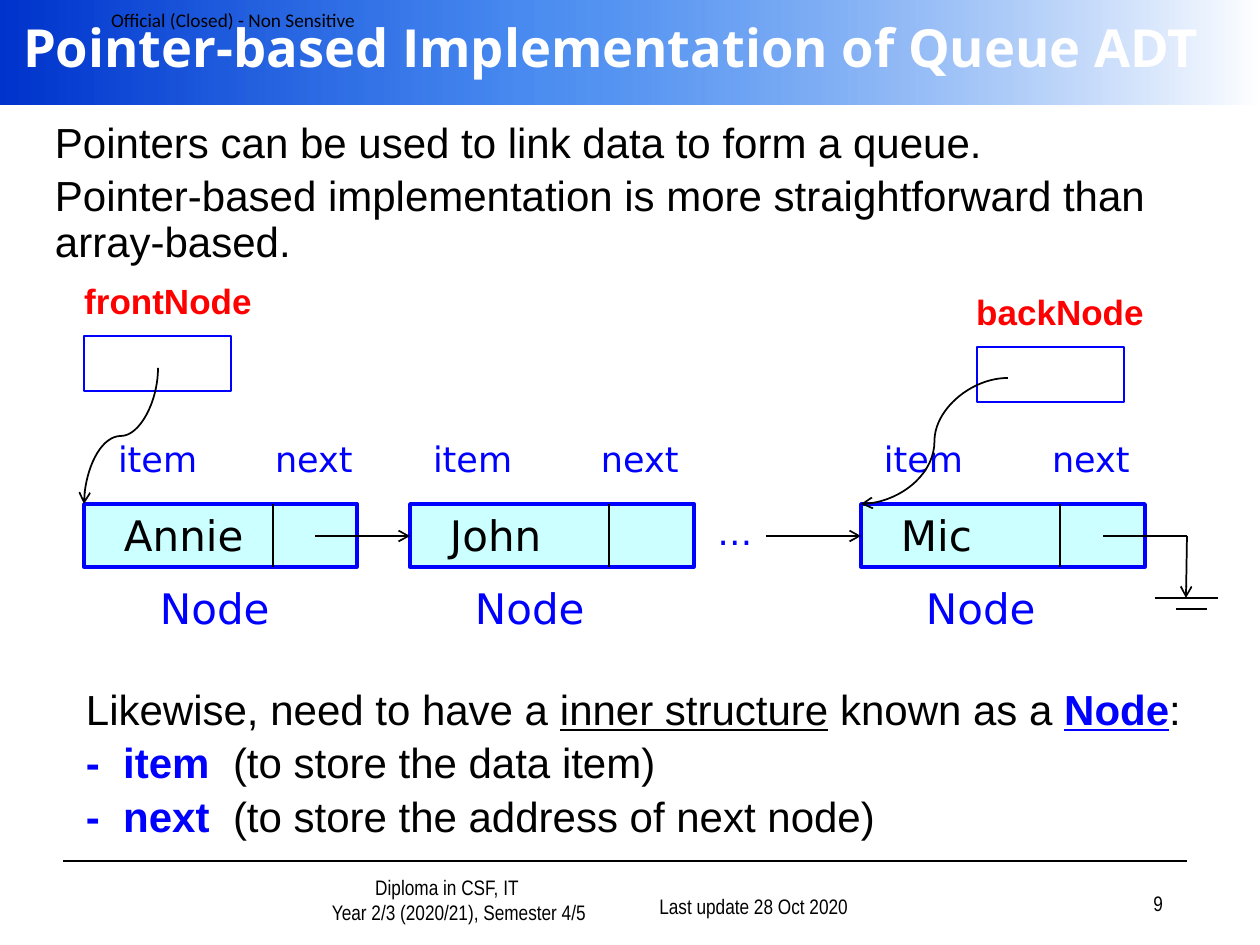
from pptx import Presentation, util as u
from pptx.dml.color import RGBColor
from pptx.enum import shapes, text
from pptx.oxml import parse_xml
from pptx.oxml.ns import qn
from lxml import etree

PX = 914400 / 126
COLORS = dict(black="000000", white="FFFFFF", blue="0000FF", red="FF0000", cyan="CCFFFF")
BANNER = [(0, "0033CC", 100), (43, "005EEB", 70), (100, "FFFFFF", 100)]
A_NS = 'xmlns:a="http://schemas.openxmlformats.org/drawingml/2006/main"'

# Content
TITLE = "Pointer-based Implementation of Queue ADT"
INTRO = ["Pointers can be used to link data to form a queue.",
         "Pointer-based implementation is more straightforward than array-based."]
KEY = dict(color="blue", bold=True)
STRUCTURE = [
    [("Likewise, need to have a ", {}), ("inner structure", dict(underline=True)),
     (" known as a ", {}), ("Node", dict(KEY, underline=True)), (":", {})],
    [("-  item  ", KEY), ("(to store the data item)", {})],
    [("-  next  ", KEY), ("(to store the address of next node)", {})],
]
# name, left, width, then offsets of divider, item, next and Node labels
NODES = [("Annie", 84, 273, 189, 21, 178, 63),
         ("John", 410, 284, 199, 10, 178, 52),
         ("Mic", 861, 284, 199, 10, 178, 52)]
NODE_TOP, NODE_HEIGHT, LINK_Y = 504, 63, 536
# name, label left and top, box left and top
POINTERS = [("frontNode", 63, 273, 84, 336), ("backNode", 955, 284, 977, 347)]
# from x, from y, to x, to y, arrowhead
LINES = [
    (63, 861, 1187, 861, False),
    (315, LINK_Y, 410, LINK_Y, True), (766, LINK_Y, 861, LINK_Y, True),
    (1187, LINK_Y, 1103, LINK_Y, False), (1187, LINK_Y, 1186, 598, True),
    (1155, 598, 1218, 598, False), (1176, 609, 1207, 609, False),
]
FOOTER = dict(font="Arial Narrow", size=12, anchor="BOTTOM")
CODE = dict(font="DejaVu Sans", color="blue")

deck = Presentation()
deck.slide_width, deck.slide_height = u.Inches(10), u.Inches(7.5)
page = deck.slides.add_slide(deck.slide_layouts[5])


def emu(*lengths):
    return [u.Emu(round(length * PX)) for length in lengths]


def rgb(name):
    return RGBColor.from_string(COLORS[name])


def write(shape, paras, font="Arial", size=24, color="black", bold=False, align="LEFT",
          anchor="TOP", insets=(13, 6, 13, 6), line=None, before=0, wrap=True):
    """Fill a shape with paragraphs, each a string or a list of (words, style)."""
    frame = shape.text_frame
    left, top, right, bottom = emu(*insets)
    frame_format = dict(word_wrap=wrap, auto_size=text.MSO_AUTO_SIZE.NONE,
                        vertical_anchor=text.MSO_ANCHOR[anchor], margin_left=left,
                        margin_top=top, margin_right=right, margin_bottom=bottom)
    for key, value in frame_format.items():
        setattr(frame, key, value)
    for index, spans in enumerate(paras):
        para = frame.add_paragraph() if index else frame.paragraphs[0]
        para.alignment = text.PP_ALIGN[align]
        para.space_before = u.Pt(before if index else 0)
        if line:
            para.line_spacing = line
        for words, style in [(spans, {})] if isinstance(spans, str) else spans:
            span = para.add_run()
            span.text = words
            look = dict(name=font, size=u.Pt(size), bold=bold)
            look.update(style)
            span.font.color.rgb = rgb(look.pop("color", color))
            for key, value in look.items():
                setattr(span.font, key, value)
    return shape


def label(x, y, width, height, paras, **style):
    return write(page.shapes.add_textbox(*emu(x, y, width, height)), paras, **style)


def rectangle(x, y, width, height, fill=None, line=None):
    box = page.shapes.add_shape(shapes.MSO_SHAPE.RECTANGLE, *emu(x, y, width, height))
    box.shadow.inherit = False
    if fill:
        box.fill.solid()
        box.fill.fore_color.rgb = rgb(fill)
    else:
        box.fill.background()
    if line:
        box.line.color.rgb, box.line.width = rgb("blue"), u.Pt(line)
    else:
        box.line.fill.background()
    return box


def connect(x1, y1, x2, y2, arrow=False, kind="STRAIGHT"):
    link = page.shapes.add_connector(shapes.MSO_CONNECTOR[kind], *emu(x1, y1, x2, y2))
    link.line.color.rgb, link.line.width = rgb("black"), u.Pt(1)
    if arrow:
        etree.SubElement(link.line._get_or_add_ln(), qn("a:tailEnd"), type="arrow")
    etree.SubElement(link._element.spPr, qn("a:effectLst"))
    return link


# Banner with a left-to-right gradient
banner = rectangle(0, 0, 1260, 105)
stops = "".join(f'<a:gs pos="{pos * 1000}"><a:srgbClr val="{color}">'
                f'<a:alpha val="{alpha * 1000}"/></a:srgbClr></a:gs>'
                for pos, color, alpha in BANNER)
properties = banner._element.spPr
properties.replace(properties.find(qn("a:noFill")), parse_xml(
    f'<a:gradFill {A_NS} rotWithShape="1"><a:gsLst>{stops}</a:gsLst>'
    '<a:lin ang="0" scaled="1"/></a:gradFill>'))

# Classification and footer
label(111, 0, 268, 39, ["Official (Closed) - Non Sensitive"], font="Calibri", size=11,
      anchor="MIDDLE", insets=(0, 0, 0, 0))
course = label(217, 878, 397, 53, ["Diploma in CSF, IT", "Year 2/3 (2020/21), Semester 4/5"],
               align="CENTER", **FOOTER)
for para, margin in zip(course.text_frame.paragraphs, emu(63, 87)):
    para._p.get_or_add_pPr().set("marL", str(margin))
label(598, 872, 263, 53, ["Last update 28 Oct 2020"], align="RIGHT", **FOOTER)
label(913, 869, 263, 53, ["9"], align="RIGHT", **FOOTER)

# Title, in front of the banner
title = page.shapes.title
title.left, title.top, title.width, title.height = emu(10, 0, 1354, 94)
write(title, [TITLE], font="Open Sans", size=30, color="white", bold=True, anchor="MIDDLE")
title._element.getparent().append(title._element)

# Body text
label(42, 116, 1144, 242, INTRO, line=0.9, before=4.8)
label(73, 683, 1144, 242, STRUCTURE, line=0.9, before=4.8)

# Linked nodes
for name, x, width, divider, item, following, caption in NODES:
    box = rectangle(x, NODE_TOP, width, NODE_HEIGHT, "cyan", 2)
    write(box, [name], font="DejaVu Sans", insets=(40, 6, 13, 6), wrap=False)
    connect(x + divider, NODE_TOP, x + divider, NODE_TOP + NODE_HEIGHT)
    for words, offset in (("item", item), ("next", following)):
        label(x + offset, 431, 168, 55, [words], size=20, **CODE)
    label(x + caption, 577, 189, 63, ["Node"], **CODE)
label(651, 504, 168, 55, ["…"], size=20, align="CENTER", **CODE)

# Front and back pointers
for name, label_x, label_y, x, y in POINTERS:
    label(label_x, label_y, 210, 55, [name], size=20, color="red", bold=True, align="CENTER")
    rectangle(x, y, 147, 55, line=1.5)

# Links, ground symbol and footer rule
for line in LINES:
    connect(*line)
front_link = connect(53, 399, 189, 473, True, "CURVE")
front_link._element.spPr.find(qn("a:xfrm")).set("rot", str(90 * 60000))
connect(1008, 378, 861, 504, True, "CURVE")

deck.save("out.pptx")
